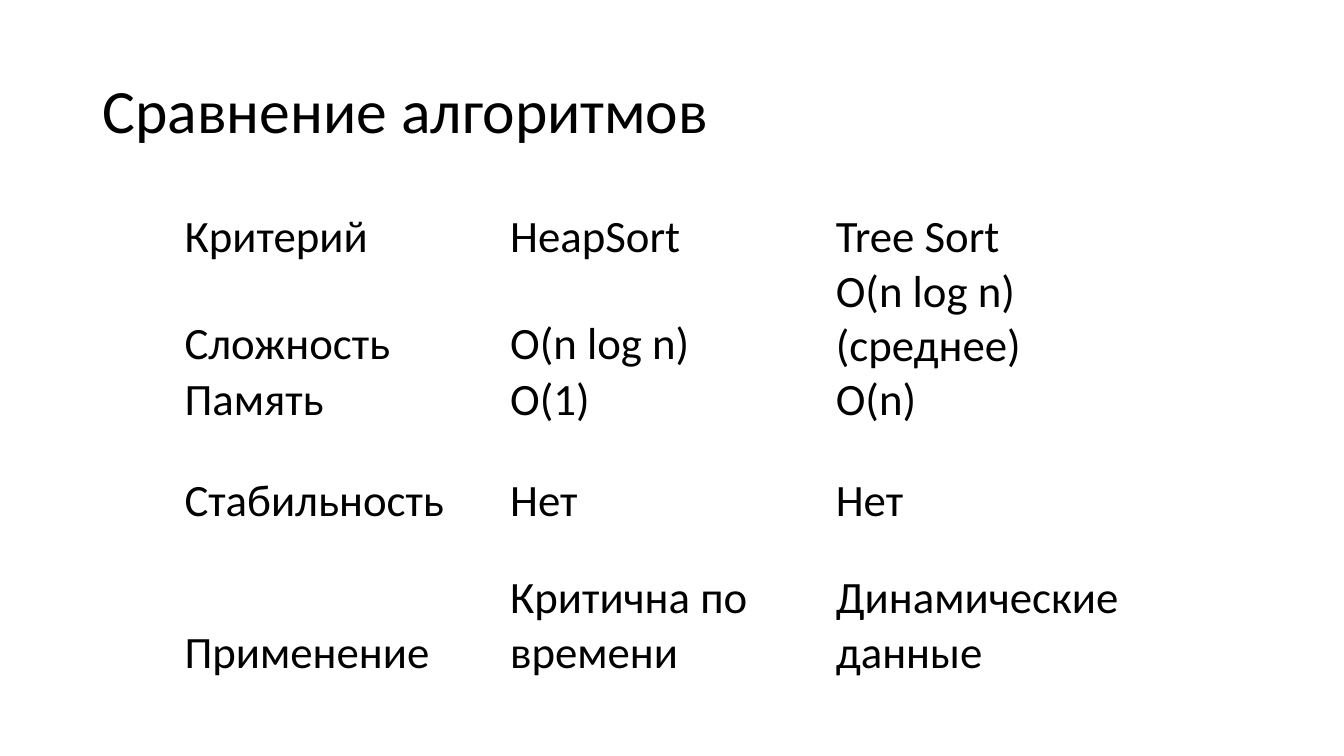
from typing import NamedTuple

from pptx import Presentation
from pptx import util as u
from pptx.dml import color
from pptx.enum import text

WIDE, HIGH = u.Inches(13.33), u.Inches(7.5)
COLORS = {"ink": "000000"}
FACE = "Calibri"


class Area(NamedTuple):
    """Place on the slide, in inches, as shares of its width and height."""
    left: float
    top: float
    width: float
    height: float

    def box(self) -> list[int]:
        """Turn the shares into lengths."""
        return [round(part * side) for part, side in zip(self, (WIDE, HIGH) * 2)]


class Row(NamedTuple):
    """One criterion with its value for each sort, and the row height."""
    cells: tuple[str, str, str]
    height: float


TITLE = Area(0.92 / 13.33, 0.4 / 7.5, 11.5 / 13.33, 1.45 / 7.5)
TABLE = Area(1.82 / 13.33, 2.07 / 7.5, 9.69 / 13.33, 4.61 / 7.5)
ROWS = [
    Row(("Критерий", "HeapSort", "Tree Sort"), 0.54),
    Row(("Сложность", "O(n log n)", "O(n log n) (среднее)"), 1.01),
    Row(("Память", "O(1)", "O(n)"), 0.54),
    Row(("Стабильность", "Нет", "Нет"), 1.01),
    Row(("Применение", "Критична по времени", "Динамические данные"), 1.51),
]


def write(para, words: str, size: int) -> None:
    """Fill a paragraph and set its font."""
    para.text = words
    para.font.name = FACE
    para.font.size = u.Pt(size)
    para.font.color.rgb = color.RGBColor.from_string(COLORS["ink"])


def add_title(slide, words: str) -> None:
    """Draw the heading, centred in its height."""
    frame = slide.shapes.add_textbox(*TITLE.box()).text_frame
    frame.word_wrap = True
    frame.vertical_anchor = text.MSO_ANCHOR.MIDDLE
    para = frame.paragraphs[0]
    write(para, words, 44)
    para.line_spacing = 0.9


def add_grid(slide, rows: list[Row]) -> None:
    """Draw the plain table with text at the foot of each cell."""
    table = slide.shapes.add_table(len(rows), len(rows[0].cells), *TABLE.box()).table
    table.first_row = table.horz_banding = False
    for line, row in zip(table.rows, rows):
        line.height = u.Inches(row.height)
        for cell, words in zip(line.cells, row.cells):
            cell.fill.background()
            cell.vertical_anchor = text.MSO_ANCHOR.BOTTOM
            cell.margin_left = cell.margin_right = cell.margin_top = u.Inches(0.01)
            cell.margin_bottom = 0
            write(cell.text_frame.paragraphs[0], words, 32)


def main() -> None:
    """Build and save the slide."""
    deck = Presentation()
    deck.slide_width, deck.slide_height = WIDE, HIGH
    slide = deck.slides.add_slide(deck.slide_layouts[6])
    add_title(slide, "Сравнение алгоритмов")
    add_grid(slide, ROWS)
    deck.save("out.pptx")


if __name__ == "__main__":
    main()
